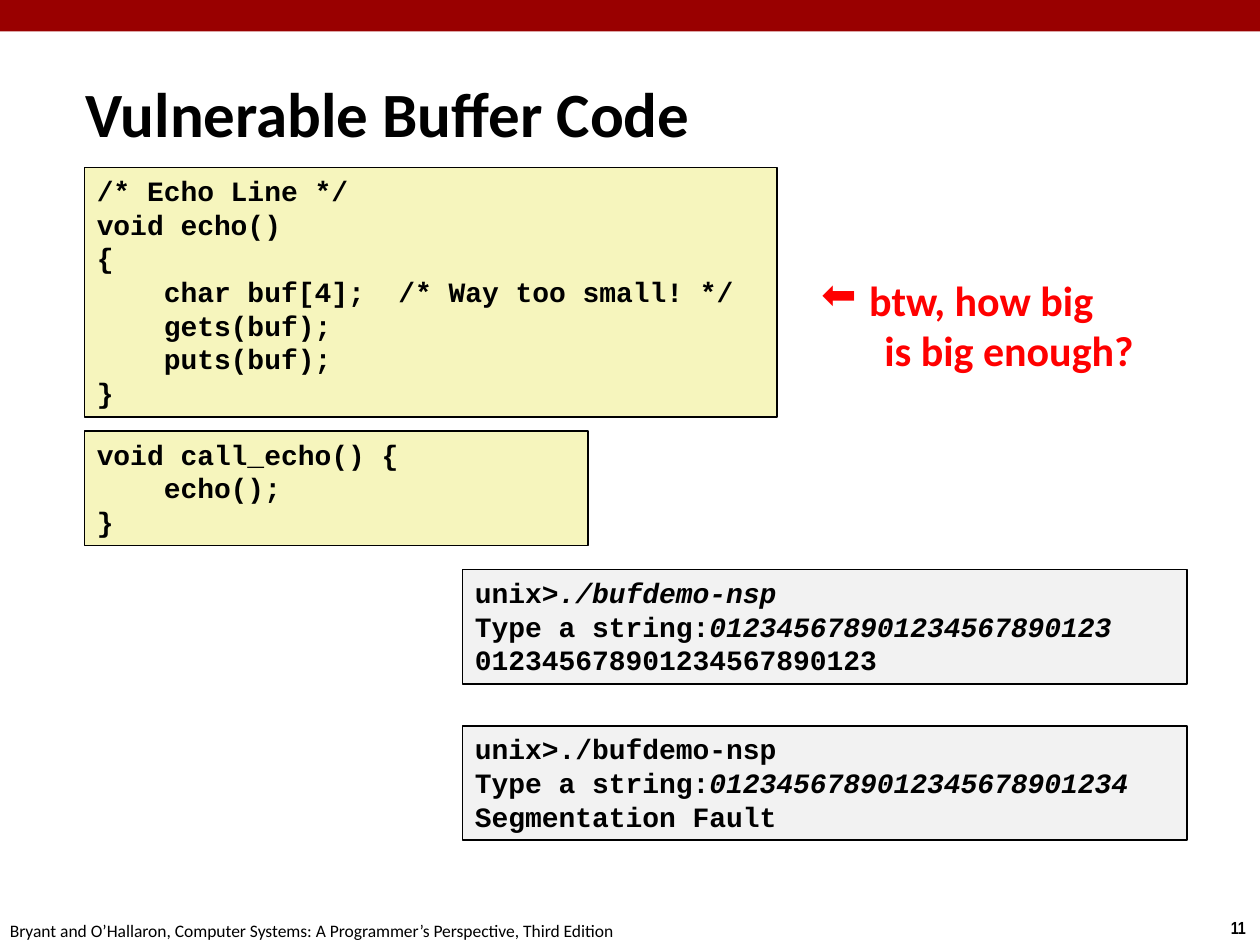
from dataclasses import dataclass

from lxml import etree
from pptx import Presentation
from pptx import util as u
from pptx.dml.color import RGBColor
from pptx.enum import shapes, text
from pptx.oxml import ns


@dataclass
class CodeBox:
    left: float
    top: float
    width: float
    height: float
    fill: str
    lines: list[tuple[str, str]]


@dataclass
class Label:
    left: float
    top: float
    width: float
    height: float
    lines: list[str]
    size: int
    font: str = "Calibri"
    color: str = "000000"
    bold: bool = True
    anchor: text.MSO_ANCHOR = text.MSO_ANCHOR.TOP


SOURCE_FILL = "F6F5BD"
SESSION_FILL = "F2F2F2"
ECHO = """/* Echo Line */
void echo()
{
    char buf[4];  /* Way too small! */
    gets(buf);
    puts(buf);
}"""
CALL_ECHO = """void call_echo() {
    echo();
}"""


def rgb(color: str) -> RGBColor:
    return RGBColor.from_string(color)


def plain(code: str) -> list[tuple[str, str]]:
    return [(line, "") for line in code.splitlines()]


def set_font(p, size: int, name: str, color: str, bold: bool) -> None:
    p.font.size = u.Pt(size)
    p.font.name = name
    p.font.color.rgb = rgb(color)
    p.font.bold = bold


def add_rect(s, left: float, top: float, width: float, height: float, fill: str):
    sp = s.shapes.add_shape(shapes.MSO_SHAPE.RECTANGLE, u.Inches(left), u.Inches(top),
                            u.Inches(width), u.Inches(height))
    sp.shadow.inherit = False
    sp.fill.solid()
    sp.fill.fore_color.rgb = rgb(fill)
    sp.line.fill.background()
    return sp


def add_code(s, box: CodeBox) -> None:
    sp = add_rect(s, box.left, box.top, box.width, box.height, box.fill)
    sp.line.color.rgb = rgb("000000")
    sp.line.width = u.Pt(1)
    tf = sp.text_frame
    tf.word_wrap = True
    tf.vertical_anchor = text.MSO_ANCHOR.TOP
    for i, (output, typed) in enumerate(box.lines):
        p = tf.add_paragraph() if i else tf.paragraphs[0]
        p.alignment = text.PP_ALIGN.LEFT
        set_font(p, 16, "Courier New", "000000", True)
        p.add_run().text = output
        if typed:
            r = p.add_run()
            r.text = typed
            r.font.italic = True


def add_label(s, label: Label):
    sp = s.shapes.add_textbox(u.Inches(label.left), u.Inches(label.top),
                              u.Inches(label.width), u.Inches(label.height))
    tf = sp.text_frame
    tf.word_wrap = False
    tf.vertical_anchor = label.anchor
    for i, line in enumerate(label.lines):
        p = tf.add_paragraph() if i else tf.paragraphs[0]
        p.alignment = text.PP_ALIGN.LEFT
        p.text = line
        set_font(p, label.size, label.font, label.color, label.bold)
    return sp


def add_bullet(p, char: str, indent: float) -> None:
    pPr = p._p.get_or_add_pPr()
    pPr.set("marL", str(u.Inches(indent)))
    pPr.set("indent", str(-u.Inches(indent)))
    bullet = etree.Element(ns.qn("a:buChar"), char=char)
    pPr.insert(0, bullet)


def main() -> None:
    prs = Presentation()
    prs.slide_width, prs.slide_height = u.Inches(10), u.Inches(7.5)
    s = prs.slides.add_slide(prs.slide_layouts[6])

    add_rect(s, 0, 0, 10, 0.25, "990000")
    add_label(s, Label(9.67, 7.23, 0.34, 0.27, ["11"], 10, font="Arial Narrow"))
    add_label(s, Label(-0.02, 7.25, 5.08, 0.27, [
        "Bryant and O’Hallaron, Computer Systems: A Programmer’s Perspective, Third Edition",
    ], 10, bold=False))
    add_label(s, Label(0.58, 0.58, 7.01, 0.63, ["Vulnerable Buffer Code"], 36,
                       anchor=text.MSO_ANCHOR.MIDDLE))

    boxes = [
        CodeBox(0.67, 3.42, 4, 0.91, SOURCE_FILL, plain(CALL_ECHO)),
        CodeBox(0.67, 1.33, 5.5, 1.98, SOURCE_FILL, plain(ECHO)),
        CodeBox(3.67, 4.52, 5.75, 0.91, SESSION_FILL, [
            ("unix>", "./bufdemo-nsp"),
            ("Type a string:", "012345678901234567890123"),
            ("012345678901234567890123", ""),
        ]),
        CodeBox(3.67, 5.76, 5.75, 0.91, SESSION_FILL, [
            ("unix>./bufdemo-nsp", ""),
            ("Type a string:", "0123456789012345678901234"),
            ("Segmentation Fault", ""),
        ]),
    ]
    for box in boxes:
        add_code(s, box)

    question = add_label(s, Label(6.42, 2.13, 3.21, 0.91,
                                  ["btw, how big", "\tis big enough?"], 24, color="FF0000"))
    add_bullet(question.text_frame.paragraphs[0], "⬅", 0.38)
    prs.save("out.pptx")


if __name__ == "__main__":
    main()
